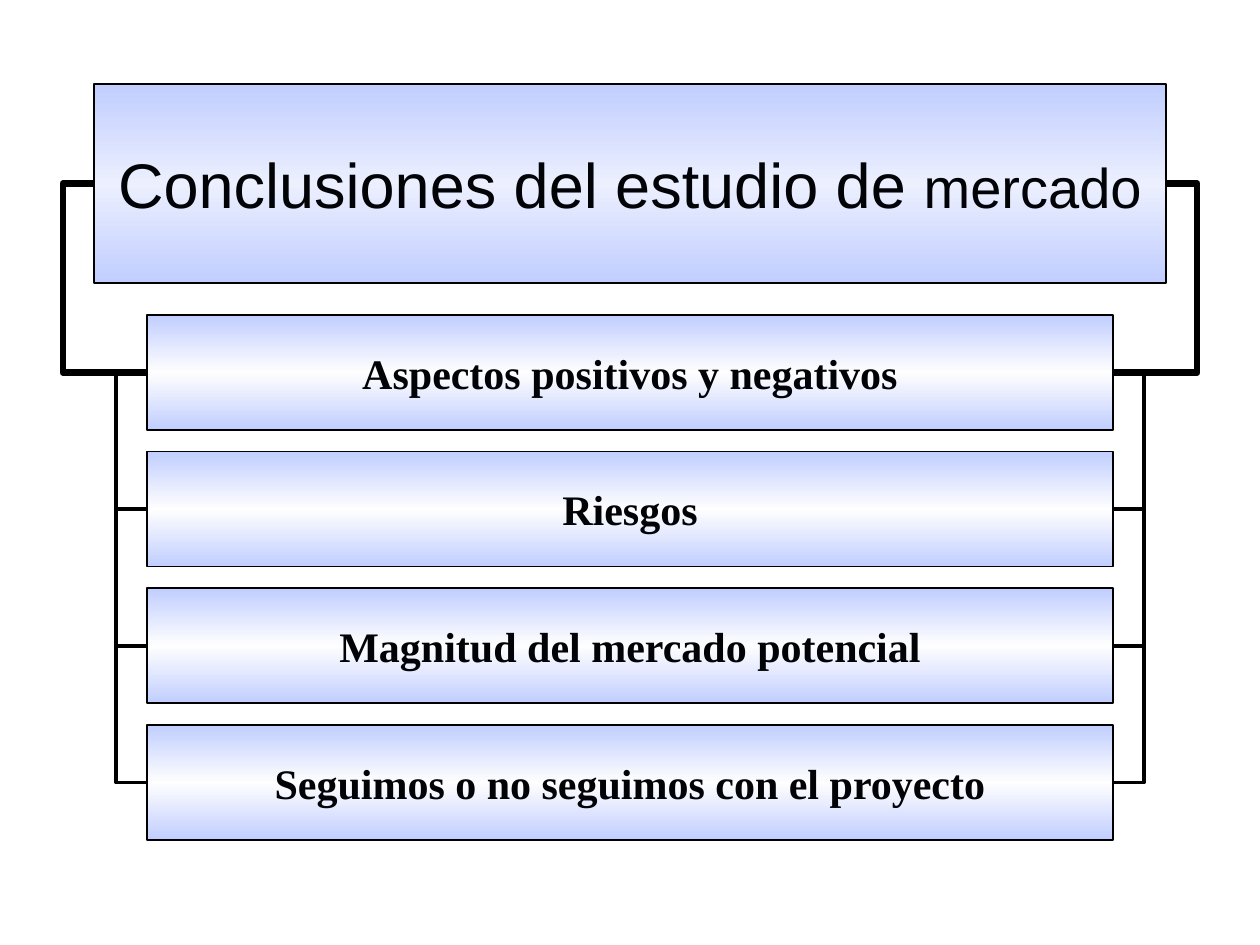
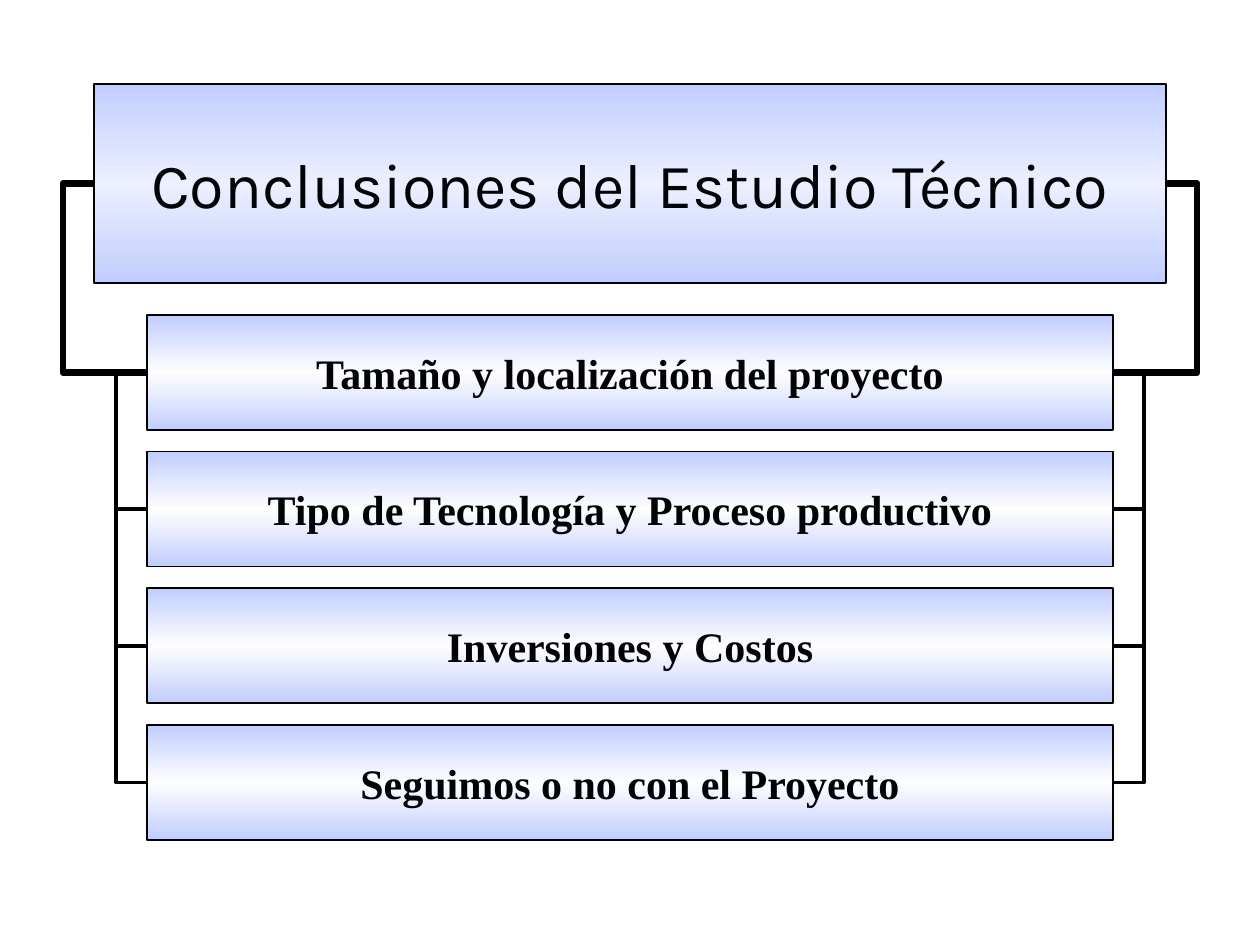
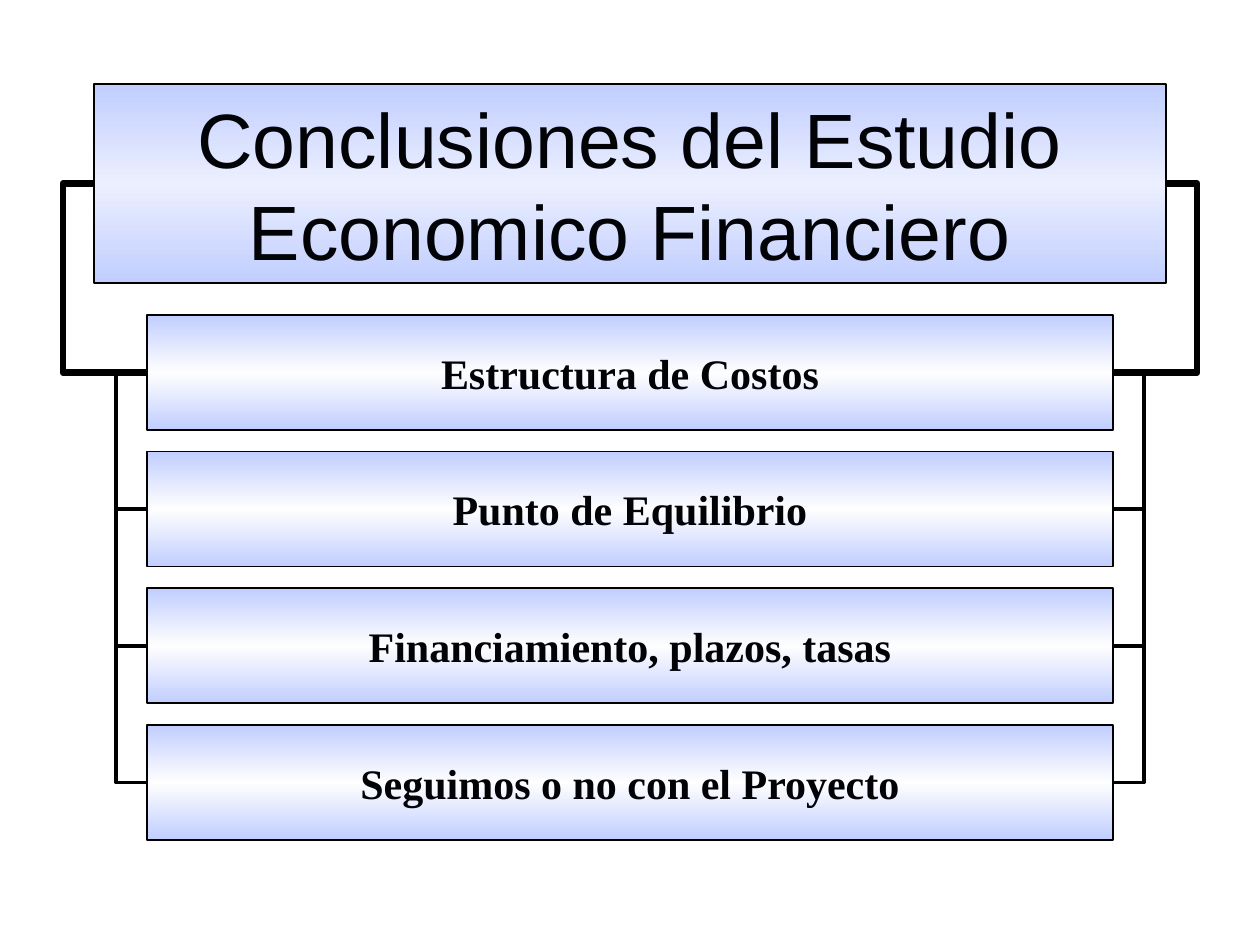
import copy

import pptx
import pptx.dml.color
import pptx.enum.shapes
import pptx.enum.text
import pptx.oxml.ns
import pptx.util

SLIDES = [
    {
        "title": [("Conclusiones del estudio de ", 36), ("mercado", 32)],
        "font": "Arial",
        "bars": [
            "Aspectos positivos y negativos",
            "Riesgos",
            "Magnitud del mercado potencial",
            "Seguimos o no seguimos con el proyecto",
        ],
    },
    {
        "title": [("Conclusiones del Estudio Técnico", 36)],
        "font": "Karla",
        "bars": [
            "Tamaño y localización del proyecto",
            "Tipo de Tecnología y Proceso productivo",
            "Inversiones y Costos",
            "Seguimos o no con el Proyecto",
        ],
    },
    {
        "title": [("Conclusiones del Estudio Economico Financiero", 44)],
        "font": "Arial",
        "bars": [
            "Estructura de Costos",
            "Punto de Equilibrio",
            "Financiamiento, plazos, tasas",
            "Seguimos o no con el Proyecto",
        ],
    },
]

THEME = {
    "text": "010307",
    "line": "000000",
    "edge": "C1CEFF",
    "head": "EBEFFE",
    "glow": "FEFEFE",
    "font": "Times New Roman",
    "size": 24,
    "thin": 1,
    "link": 2,
    "main": 4,
}

WIDE, HIGH = 1260, 945
HEAD = (94, 84, 1072, 199)
BAR_X, BAR_W, BAR_H = 147, 966, 115
FIRST, LAST = 315, 725
RAIL, OUTER = 116, 63


def px(size):
    return pptx.util.Emu(round(size * 914400 / 126))


def tint(name):
    return pptx.dml.color.RGBColor.from_string(THEME[name])


def outline(shape, width):
    shape.shadow.inherit = False
    shape.line.color.rgb = tint("line")
    shape.line.width = pptx.util.Pt(width)


def style(shape, middle, wrap):
    outline(shape, THEME["thin"])
    fill = shape.fill
    fill.gradient()
    fill.gradient_angle = 270
    stops = shape.element.find(".//" + pptx.oxml.ns.qn("a:gsLst"))
    stops.append(copy.deepcopy(stops[0]))
    for stop, name, place in zip(fill.gradient_stops, ("edge", middle, "edge"), (0, 0.5, 1)):
        stop.color.rgb = tint(name)
        stop.position = place
    frame = shape.text_frame
    frame.auto_size = pptx.enum.text.MSO_AUTO_SIZE.NONE
    frame.word_wrap = wrap
    frame.vertical_anchor = pptx.enum.text.MSO_ANCHOR.MIDDLE
    para = frame.paragraphs[0]
    para.alignment = pptx.enum.text.PP_ALIGN.CENTER
    para.font.color.rgb = tint("text")
    return para


def add_head(slide, parts, font):
    shape = slide.shapes.title
    shape.left, shape.top, shape.width, shape.height = map(px, HEAD)
    para = style(shape, "head", True)
    para.font.name = font
    para.font.size = pptx.util.Pt(parts[0][1])
    for text, size in parts:
        run = para.add_run()
        run.text = text
        if size != parts[0][1]:
            run.font.size = pptx.util.Pt(size)


def add_bar(slide, text, top):
    rect = pptx.enum.shapes.MSO_SHAPE.RECTANGLE
    shape = slide.shapes.add_shape(rect, px(BAR_X), px(top), px(BAR_W), px(BAR_H))
    para = style(shape, "glow", False)
    para.text = text
    para.font.name = THEME["font"]
    para.font.size = pptx.util.Pt(THEME["size"])
    para.font.bold = True


def add_links(slide, start, rail, top, end, width):
    points = [(start, top), (rail, top), (rail, end), (BAR_X, end)]
    for flip in (False, True):
        side = [(px(WIDE - x if flip else x), px(y)) for x, y in points]
        path = slide.shapes.build_freeform(*side[0])
        path.add_line_segments(side[1:], close=False)
        shape = path.convert_to_shape()
        shape.fill.background()
        outline(shape, width)


def build(deck, data):
    slide = deck.slides.add_slide(deck.slide_layouts[5])
    bars = data["bars"]
    step = (LAST - FIRST) / (len(bars) - 1)
    tops = [FIRST + step * i for i in range(len(bars))]
    mids = [top + BAR_H / 2 for top in tops]
    for top, end in zip(mids, mids[1:]):
        add_links(slide, BAR_X, RAIL, top, end, THEME["link"])
    add_links(slide, HEAD[0], OUTER, HEAD[1] + HEAD[3] / 2, mids[0], THEME["main"])
    for text, top in zip(bars, tops):
        add_bar(slide, text, top)
    add_head(slide, data["title"], data["font"])


def main():
    deck = pptx.Presentation()
    deck.slide_width, deck.slide_height = px(WIDE), px(HIGH)
    for data in SLIDES:
        build(deck, data)
    deck.save("out.pptx")


if __name__ == "__main__":
    main()
